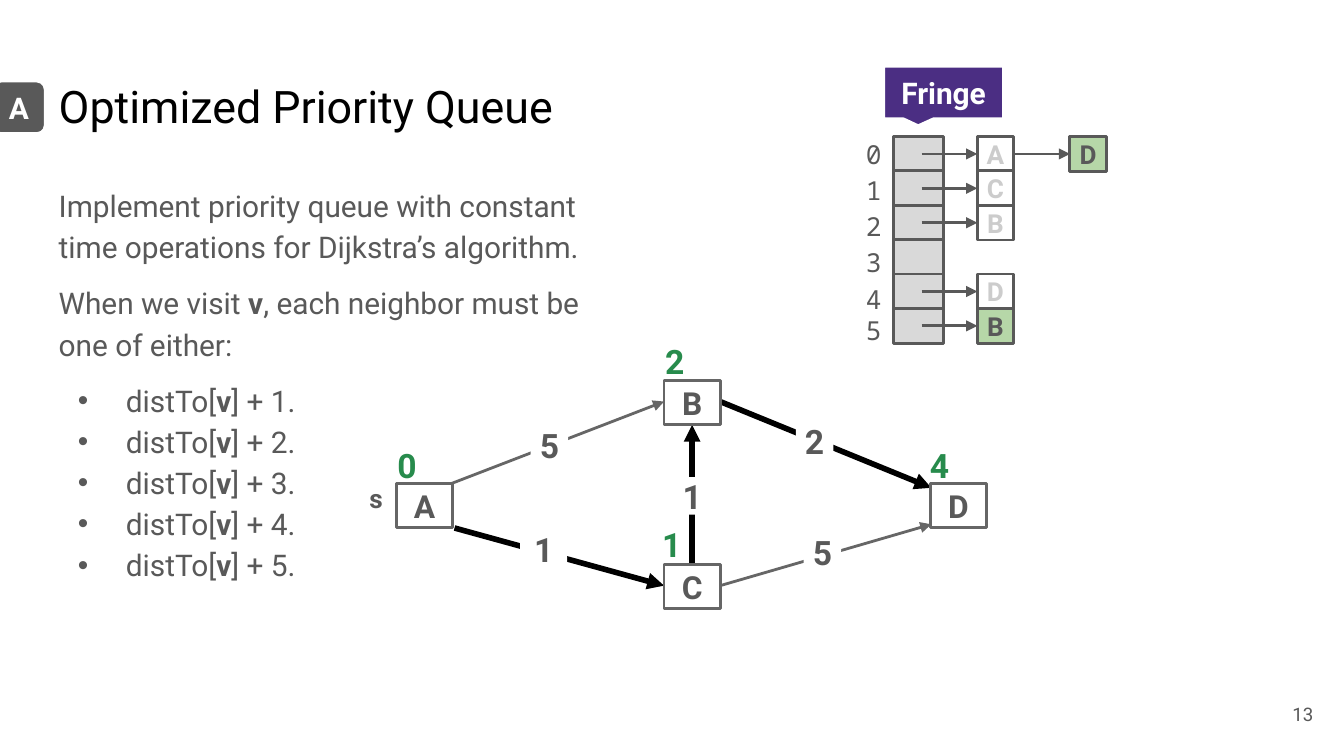
from typing import NamedTuple

from lxml.etree import SubElement
from pptx import Presentation
from pptx.dml.color import RGBColor
from pptx.enum.shapes import MSO_CONNECTOR, MSO_SHAPE
from pptx.enum.text import MSO_ANCHOR, MSO_AUTO_SIZE, PP_ALIGN
from pptx.oxml.ns import qn
from pptx.util import Cm, Pt

SANS, MONO = "Roboto", "Noto Sans Mono"
TEXT, EDGE, BLACK, WHITE = "595959", "666666", "000000", "FFFFFF"
FADED, NEW, BUCKET, GREEN, PURPLE = "CCCCCC", "B6D7A8", "D9D9D9", "278B4C", "4B2E83"
INSET = 0.25


class Style(NamedTuple):
    size: int
    color: str = TEXT
    bold: bool = True
    font: str = SANS
    align: PP_ALIGN = PP_ALIGN.CENTER


class Node(NamedTuple):
    label: str
    left: float
    top: float
    distance: str
    distance_left: float
    distance_top: float


class Edge(NamedTuple):
    start: tuple
    end: tuple
    weight: str
    weight_left: float
    weight_top: float
    weight_width: float = 0.71
    on_path: bool = False


class Item(NamedTuple):
    label: str
    row: int
    column: int = 0
    current: bool = False


NODES = [
    Node("A", 7.49, 9.14, "0", 7.34, 8.43),
    Node("C", 12.55, 10.67, "1", 12.34, 9.93),
    Node("B", 12.55, 7.19, "2", 12.4, 6.48),
    Node("D", 17.58, 9.14, "4", 17.4, 8.43),
]
EDGES = [
    Edge((8.53, 9.14), (12.55, 7.59), "5", 10.03, 8.05),
    Edge((8.59, 9.98), (12.55, 11.07), "1", 9.83, 10.03, 0.89, True),
    Edge((13.61, 11.07), (17.6, 9.91), "5", 15.19, 10.08),
    Edge((13.08, 10.67), (13.08, 8.03), "1", 12.73, 9.02, on_path=True),
    Edge((13.61, 7.59), (17.6, 9.22), "2", 15.04, 7.98, on_path=True),
]
ITEMS = [
    Item("A", 0), Item("C", 1), Item("B", 2), Item("D", 4),
    Item("D", 0, 1, True), Item("B", 5, 0, True),
]
PARAGRAPHS = [
    "Implement priority queue with constant time operations for Dijkstra’s algorithm.",
    "When we visit **v**, each neighbor must be one of either:",
]
OPTIONS = [f"distTo[**v**] + {step}." for step in range(1, 6)]
ROW_COUNT, ROW_STEP, ROW_HEIGHT, FRINGE_TOP = 6, 0.65, 0.66, 2.58


def rgb(color: str) -> RGBColor:
    return RGBColor.from_string(color)


def set_values(target, **values) -> None:
    for attribute, value in values.items():
        setattr(target, attribute, value)


def place(shape, left: float, top: float, width: float, height: float) -> None:
    set_values(shape, left=Cm(left), top=Cm(top), width=Cm(width), height=Cm(height))


def write(paragraph, text: str, style: Style) -> None:
    """Write text whose bold parts stand between double asterisks."""
    paragraph.alignment = style.align
    for index, part in enumerate(text.split("**")):
        run = paragraph.add_run()
        run.text = part
        set_values(run.font, size=Pt(style.size), name=style.font,
                   bold=style.bold or index % 2 == 1)
        run.font.color.rgb = rgb(style.color)


def format_frame(frame, side: float = INSET, anchor=MSO_ANCHOR.MIDDLE) -> None:
    set_values(frame, word_wrap=True, auto_size=MSO_AUTO_SIZE.NONE, vertical_anchor=anchor,
               margin_left=Cm(side), margin_right=Cm(side),
               margin_top=Cm(INSET), margin_bottom=Cm(INSET))


def add_label(slide, bounds: tuple, text: str, style: Style, side: float = INSET,
              anchor=MSO_ANCHOR.MIDDLE):
    frame = slide.shapes.add_textbox(*map(Cm, bounds)).text_frame
    format_frame(frame, side, anchor)
    write(frame.paragraphs[0], text, style)
    return frame


def add_box(slide, bounds: tuple, fill: str, line: str = "", line_width: float = 1.5,
            text: str = "", style: Style = Style(14), side: float = INSET,
            kind=MSO_SHAPE.RECTANGLE):
    box = slide.shapes.add_shape(kind, *map(Cm, bounds))
    box.shadow.inherit = False
    box.fill.solid()
    box.fill.fore_color.rgb = rgb(fill)
    if line:
        box.line.color.rgb = rgb(line)
        box.line.width = Pt(line_width)
    else:
        box.line.fill.background()
    if text:
        format_frame(box.text_frame, side)
        write(box.text_frame.paragraphs[0], text, style)
    return box


def add_arrow(slide, start: tuple, end: tuple, color: str, width: float) -> None:
    arrow = slide.shapes.add_connector(MSO_CONNECTOR.STRAIGHT, *map(Cm, start + end))
    arrow.line.color.rgb = rgb(color)
    arrow.line.width = Pt(width)
    SubElement(arrow.line._get_or_add_ln(), qn("a:tailEnd"), type="triangle")
    SubElement(arrow._element.spPr, qn("a:effectLst"))


def set_bullet(paragraph, bulleted: bool) -> None:
    properties = paragraph._p.get_or_add_pPr()
    properties.set("marL", str(Cm(1.27 if bulleted else 0)))
    properties.set("indent", str(Cm(-0.91 if bulleted else 0)))
    if bulleted:
        color = SubElement(properties, qn("a:buClr"))
        SubElement(color, qn("a:srgbClr"), val=TEXT)
        SubElement(properties, qn("a:buChar"), char="•")
    else:
        SubElement(properties, qn("a:buNone"))


def add_heading_and_body(slide) -> None:
    title, body = slide.placeholders
    place(title, 0.86, 1.24, 10.97, 1.6)
    place(body, 0.86, 3.2, 10.97, 9.5)
    for placeholder in (title, body):
        format_frame(placeholder.text_frame, anchor=MSO_ANCHOR.TOP)
    write(title.text_frame.paragraphs[0], "Optimized Priority Queue",
          Style(24, BLACK, False, align=PP_ALIGN.LEFT))
    frame = body.text_frame
    for index, text in enumerate(PARAGRAPHS + OPTIONS):
        paragraph = frame.add_paragraph() if index else frame.paragraphs[0]
        set_bullet(paragraph, text in OPTIONS)
        gap = 8 if 0 < index <= len(PARAGRAPHS) else 0
        set_values(paragraph, line_spacing=1.15, space_before=Pt(gap), space_after=Pt(0))
        write(paragraph, text, Style(16, bold=False, align=PP_ALIGN.LEFT))


def add_graph(slide) -> None:
    for edge in EDGES:
        add_arrow(slide, edge.start, edge.end, BLACK if edge.on_path else EDGE,
                  3 if edge.on_path else 1.5)
        add_box(slide, (edge.weight_left, edge.weight_top, edge.weight_width, 0.71),
                WHITE, text=edge.weight, style=Style(18), side=0)
    for node in NODES:
        add_label(slide, (node.distance_left, node.distance_top, 0.71, 0.71),
                  node.distance, Style(18, GREEN), side=0)
        add_box(slide, (node.left, node.top, 1.07, 0.84), WHITE, EDGE,
                text=node.label, style=Style(17))
    add_label(slide, (6.73, 8.86, 0.89, 0.91), "s", Style(14, align=PP_ALIGN.LEFT),
              anchor=MSO_ANCHOR.TOP)


def add_fringe(slide) -> None:
    index_style = Style(14, bold=False, font=MONO, align=PP_ALIGN.RIGHT)
    indices = add_label(slide, (16.1, 2.59, 0.81, 3.89), "0", index_style)
    for row in range(ROW_COUNT):
        add_box(slide, (16.89, FRINGE_TOP + row * ROW_STEP, 0.94, ROW_HEIGHT), BUCKET, TEXT)
        if row:
            write(indices.add_paragraph(), str(row), index_style)
    for paragraph in indices.paragraphs[:-1]:
        paragraph.line_spacing = 1.15
    for item in ITEMS:
        left, top = 18.47 + item.column * 1.75, FRINGE_TOP + item.row * ROW_STEP
        middle = top + ROW_HEIGHT / 2
        add_box(slide, (left, top, 0.69, ROW_HEIGHT), NEW if item.current else WHITE, TEXT,
                text=item.label, style=Style(14, TEXT if item.current else FADED), side=0)
        add_arrow(slide, (left - 1.05, middle), (left, middle), TEXT, 1.5)
    callout = add_box(slide, (16.69, 1.24, 2.29, 1.02), PURPLE, WHITE, 2.25, "Fringe",
                      Style(16, WHITE), kind=MSO_SHAPE.ROUNDED_RECTANGULAR_CALLOUT)
    for index, value in enumerate((-0.21, 0.63, 0)):
        callout.adjustments[index] = value


def main() -> None:
    deck = Presentation()
    set_values(deck, slide_width=Cm(25.4), slide_height=Cm(14.29))
    slide = deck.slides.add_slide(deck.slide_layouts[1])
    add_heading_and_body(slide)
    add_label(slide, (23.55, 12.95, 1.52, 1.09), "13",
              Style(10, bold=False, align=PP_ALIGN.RIGHT))
    add_box(slide, (-0.15, 1.52, 1.02, 1.02), TEXT, WHITE, 2.25, "A", Style(16, WHITE),
            kind=MSO_SHAPE.ROUNDED_RECTANGLE)
    add_graph(slide)
    add_fringe(slide)
    deck.save("out.pptx")


if __name__ == "__main__":
    main()
